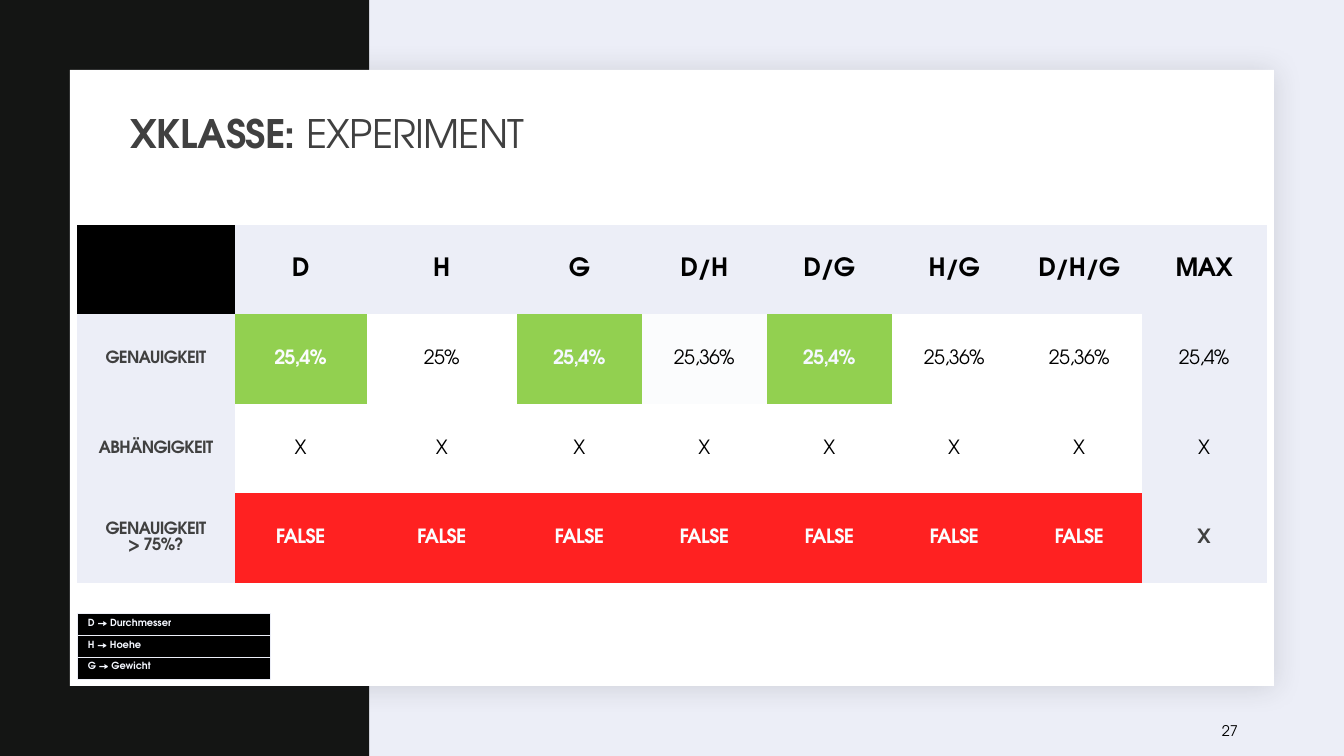
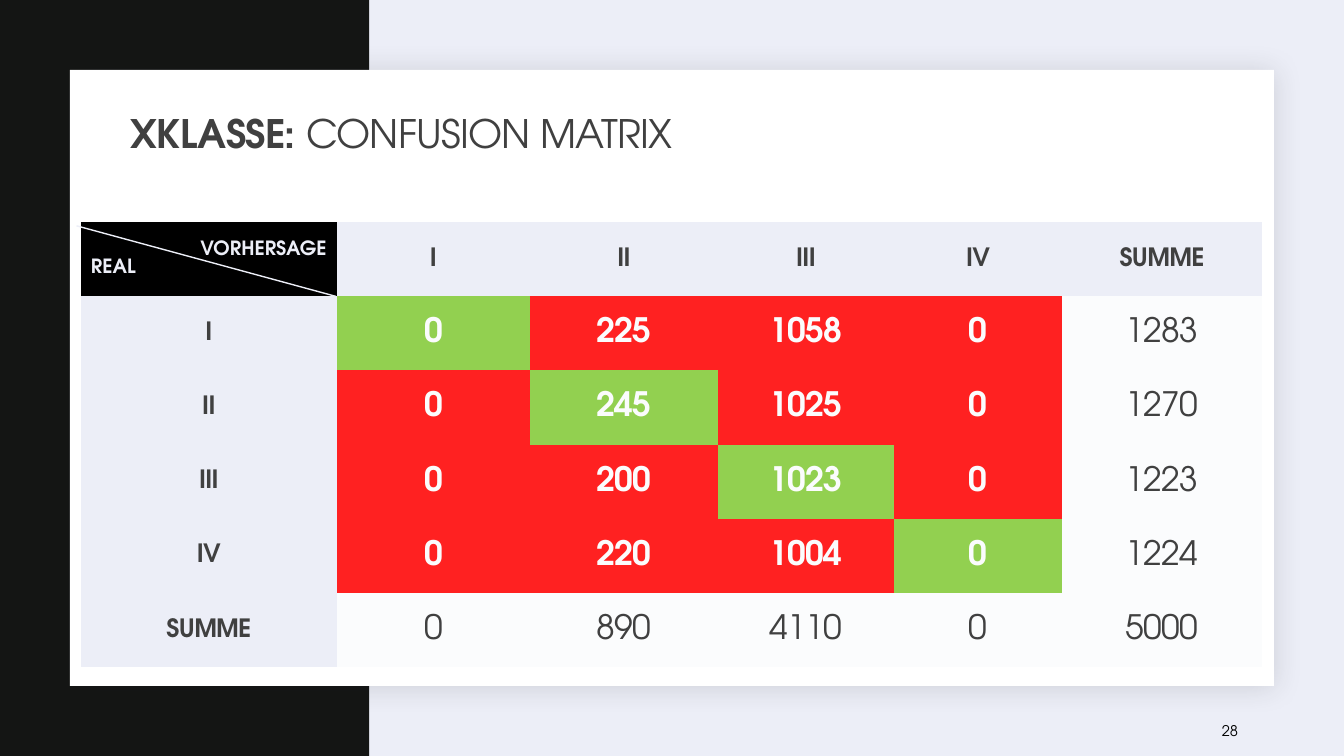
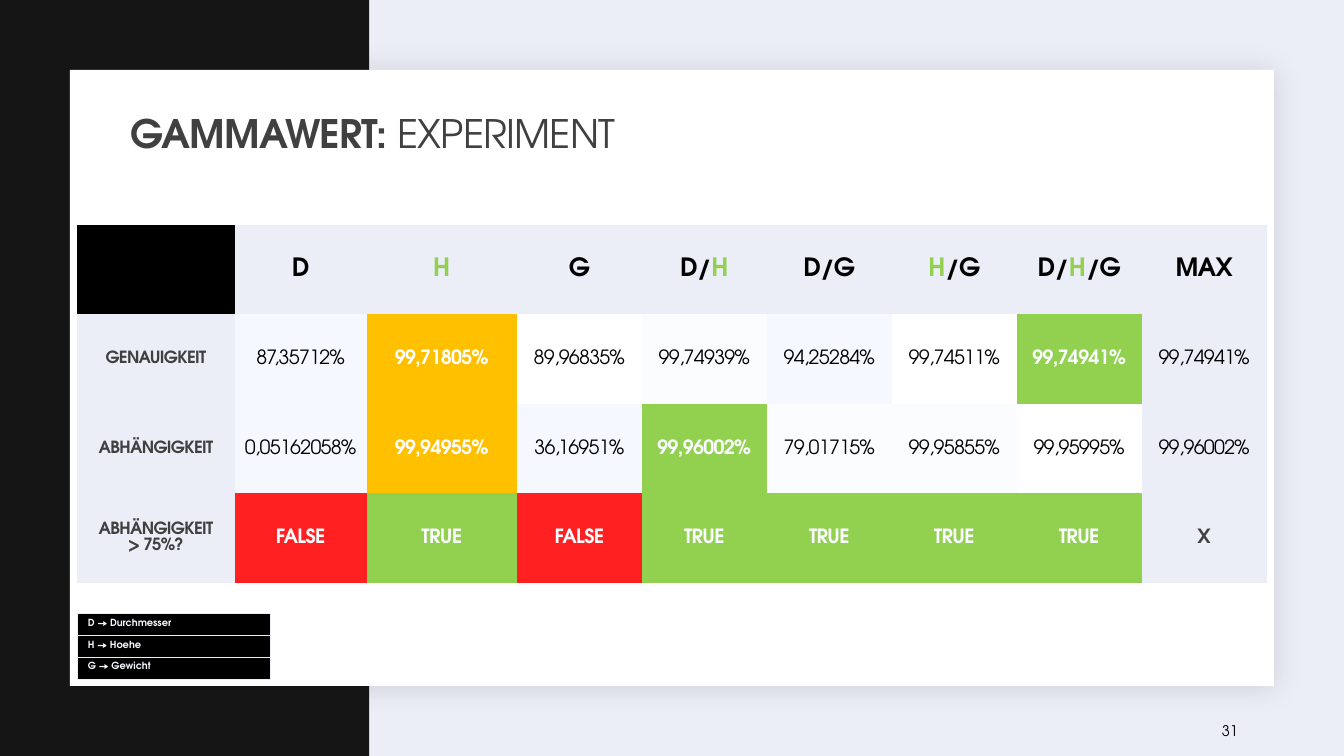
"""Builds three slides with experiment tables and a confusion matrix."""
from itertools import groupby

from lxml import etree
from pptx import Presentation
from pptx import util as u
from pptx.dml.color import RGBColor
from pptx.enum import shapes, text
from pptx.oxml.ns import qn

WIDE, HIGH = u.Inches(13.33), u.Inches(7.5)
FONT = "TeX Gyre Adventor"
NO_STYLE = "{2D5ABB26-0587-4C30-8999-92F81FD0307C}"
INK = {
    "lilac": "ECEEF7", "coal": "141514", "shade": "1F2125", "white": "FFFFFF",
    "black": "000000", "gray": "404040", "pale": "FBFCFD", "ice": "F5F8FF",
    "green": "92D050", "red": "FF2121", "amber": "FFC000",
}
KINDS = {
    "corner": ("black", "lilac", 14, True),
    "head": ("lilac", "black", 18, True),
    "label": ("lilac", "gray", 12, True),
    "plain": ("white", "black", 14, False),
    "pale": ("pale", "black", 14, False),
    "ice": ("ice", "black", 14, False),
    "best": ("green", "pale", 14, True),
    "tie": ("green", "ice", 14, True),
    "pick": ("amber", "white", 14, True),
    "TRUE": ("green", "pale", 14, True),
    "FALSE": ("red", "pale", 14, True),
    "max": ("lilac", "black", 14, False),
    "none": ("lilac", "gray", 14, True),
    "class": ("lilac", "gray", 18, True),
    "hit": ("green", "pale", 24, True),
    "miss": ("red", "pale", 24, True),
    "sum": ("pale", "gray", 24, False),
    "key": ("black", "ice", 7, True),
}
TESTS = ["D", "H", "G", "D/H", "D/G", "H/G", "D/H/G"]
KEYS = ["D → Durchmesser", "H → Hoehe", "G → Gewicht"]
CLASSES = ["I", "II", "III", "IV"]
COUNTS = [[0, 225, 1058, 0], [0, 245, 1025, 0], [0, 200, 1023, 0], [0, 220, 1004, 0]]


def ink(name):
    """Return a named colour."""
    return RGBColor.from_string(INK[name])


def across(share):
    """Turn a percentage of the slide's width into a length."""
    return round(WIDE * share / 100)


def down(share):
    """Turn a percentage of the slide's height into a length."""
    return round(HIGH * share / 100)


def area(x, y, w, h):
    """Turn four percentages into left, top, width and height."""
    return across(x), down(y), across(w), down(h)


def write(frame, lines, size=14, tint="black", bold=False, align="LEFT",
          track=0, lead=None):
    """Fill a frame with lines, each a string or a list of (string, changes)."""
    for row, line in enumerate(lines):
        para = frame.add_paragraph() if row else frame.paragraphs[0]
        para.alignment = getattr(text.PP_ALIGN, align)
        para.line_spacing = lead
        for words, change in [(line, {})] if isinstance(line, str) else line:
            run = para.add_run()
            run.text = words
            run.font.name = FONT
            run.font.size = u.Pt(size)
            run.font.bold = change.get("bold", bold)
            run.font.color.rgb = ink(change.get("tint", tint))
            if track:
                run.font._element.set("spc", str(track))


def label(slide, place, line, **form):
    """Add a text box whose text is centred in height."""
    frame = slide.shapes.add_textbox(*place).text_frame
    frame.word_wrap = True
    frame.vertical_anchor = text.MSO_ANCHOR.MIDDLE
    write(frame, [line], **form)


def block(slide, place, tint):
    """Add a plain rectangle."""
    shape = slide.shapes.add_shape(shapes.MSO_SHAPE.RECTANGLE, *place)
    shape.shadow.inherit = False
    shape.fill.solid()
    shape.fill.fore_color.rgb = ink(tint)
    shape.line.fill.background()
    return shape


def shade(shape):
    """Give a shape a soft shadow."""
    glow = etree.SubElement(
        shape._element.spPr.find(qn("a:effectLst")), qn("a:outerShdw"),
        blurRad=str(u.Pt(20)), dist=str(u.Pt(2)), dir="2700000",
        algn="tl", rotWithShape="0")
    tone = etree.SubElement(glow, qn("a:srgbClr"), val=INK["shade"])
    etree.SubElement(tone, qn("a:alpha"), val="15000")


def page(deck, topic, rest, number):
    """Add a slide with band, panel, title and number."""
    slide = deck.slides.add_slide(deck.slide_layouts[6])
    block(slide, area(0, 0, 27.46, 100), "coal")
    shade(block(slide, area(5.21, 9.26, 89.58, 81.48), "white"))
    label(slide, area(9, 13.73, 82.5, 8.53),
          [(topic + ": ", {"bold": True}), (rest, {})],
          size=28, tint="gray", track=-50, lead=0.9)
    label(slide, area(90.17, 94, 6.38, 5.33), str(number), size=10.5)
    return slide


def paint(cell, kind, lines, **form):
    """Fill and write one table cell in the style of its kind."""
    fill, tint, size, bold = KINDS[kind]
    cell.fill.solid()
    cell.fill.fore_color.rgb = ink(fill)
    write(cell.text_frame, lines, size=size, tint=tint, bold=bold, **form)


def grid(slide, x, y, cols, rows, high):
    """Add an unstyled table with the given column shares and row height."""
    frame = slide.shapes.add_table(
        rows, len(cols), *area(x, y, sum(cols), rows * high))
    table = frame.table
    table.first_row = table.horz_banding = False
    table._tbl.tblPr.find(qn("a:tableStyleId")).text = NO_STYLE
    for col, share in zip(table.columns, cols):
        col.width = across(share)
    for row in table.rows:
        row.height = down(high)
    return table


def fill(table, rows):
    """Write rows of (kind, line, line...) centred into a table."""
    for r, row in enumerate(rows):
        for c, (kind, *lines) in enumerate(row):
            cell = table.cell(r, c)
            cell.vertical_anchor = text.MSO_ANCHOR.MIDDLE
            paint(cell, kind, lines, align="CENTER", track=-50)


def edge(cell, tint):
    """Draw a thin border around a cell."""
    props = cell._tc.get_or_add_tcPr()
    for spot, side in enumerate(("lnL", "lnR", "lnT", "lnB")):
        line = etree.Element(qn("a:" + side), w=str(u.Pt(1)))
        tone = etree.SubElement(line, qn("a:solidFill"))
        etree.SubElement(tone, qn("a:srgbClr"), val=INK[tint])
        props.insert(spot, line)


def legend(slide):
    """Add the key to the column letters."""
    table = grid(slide, 5.78, 81.2, [14.33], len(KEYS), 2.89)
    for row, line in enumerate(KEYS):
        cell = table.cell(row, 0)
        paint(cell, "key", [line])
        edge(cell, "lilac")


def accent(name, mark):
    """Split a name into runs, with the marked letter in green."""
    return [("".join(part), {"tint": "green"} if hot else {})
            for hot, part in groupby(name, lambda sign: sign == mark)]


def trial(slide, exact, bound, marks, asks, mark=None):
    """Add an experiment table and its legend."""
    heads = [("head", accent(name, mark)) for name in TESTS + ["MAX"]]
    rows = [
        [("corner",), *heads],
        [("label", "GENAUIGKEIT"), *exact],
        [("label", "ABHÄNGIGKEIT"), *bound],
        [("label", asks, "> 75%?"), *((word, word) for word in marks), ("none", "X")],
    ]
    cols = [11.7, 9.83, 11.18] + [9.3] * 6
    fill(grid(slide, 5.75, 29.76, cols, len(rows), 11.84), rows)
    legend(slide)


def matrix(slide):
    """Add the confusion matrix with its sums and split corner."""
    heads = [("class", name) for name in CLASSES + ["SUMME"]]
    rows = [[("corner",), *heads]]
    for r, counts in enumerate(COUNTS):
        cells = [("hit" if r == c else "miss", str(n)) for c, n in enumerate(counts)]
        rows.append([heads[r], *cells, ("sum", str(sum(counts)))])
    sums = [sum(col) for col in zip(*COUNTS)]
    rows.append([heads[-1], *(("sum", str(n)) for n in sums + [sum(sums)])])
    cols = [19.05, 14.38, 13.97, 13.12, 12.48, 14.9]
    table = grid(slide, 6.02, 29.37, cols, len(rows), 9.82)
    fill(table, rows)
    frame = table.cell(0, 0).text_frame
    write(frame, ["VORHERSAGE", "REAL"], tint="lilac", bold=True)
    frame.paragraphs[0].alignment = text.PP_ALIGN.RIGHT
    line = slide.shapes.add_connector(
        shapes.MSO_CONNECTOR.STRAIGHT,
        across(5.7), down(29.87), across(24.98), down(39.2))
    line.line.color.rgb = ink("lilac")
    line.line.width = u.Pt(1)
    etree.SubElement(line._element.spPr, qn("a:effectLst"))


def main():
    """Build and save the deck."""
    deck = Presentation()
    deck.slide_width, deck.slide_height = WIDE, HIGH
    back = deck.slide_master.background.fill
    back.solid()
    back.fore_color.rgb = ink("lilac")

    trial(page(deck, "XKLASSE", "EXPERIMENT", 27),
          [("best", "25,4%"), ("plain", "25%"), ("tie", "25,4%"),
           ("pale", "25,36%"), ("tie", "25,4%"), ("plain", "25,36%"),
           ("plain", "25,36%"), ("max", "25,4%")],
          [("plain", "X")] * len(TESTS) + [("max", "X")],
          ["FALSE"] * len(TESTS), "GENAUIGKEIT")
    matrix(page(deck, "XKLASSE", "CONFUSION MATRIX", 28))
    trial(page(deck, "GAMMAWERT", "EXPERIMENT", 31),
          [("ice", "87,35712%"), ("pick", "99,71805%"), ("plain", "89,96835%"),
           ("pale", "99,74939%"), ("ice", "94,25284%"), ("plain", "99,74511%"),
           ("best", "99,74941%"), ("max", "99,74941%")],
          [("ice", "0,05162058%"), ("pick", "99,94955%"), ("ice", "36,16951%"),
           ("best", "99,96002%"), ("pale", "79,01715%"), ("pale", "99,95855%"),
           ("plain", "99,95995%"), ("max", "99,96002%")],
          ["FALSE", "TRUE", "FALSE"] + ["TRUE"] * 4, "ABHÄNGIGKEIT", mark="H")
    deck.save("out.pptx")


if __name__ == "__main__":
    main()
